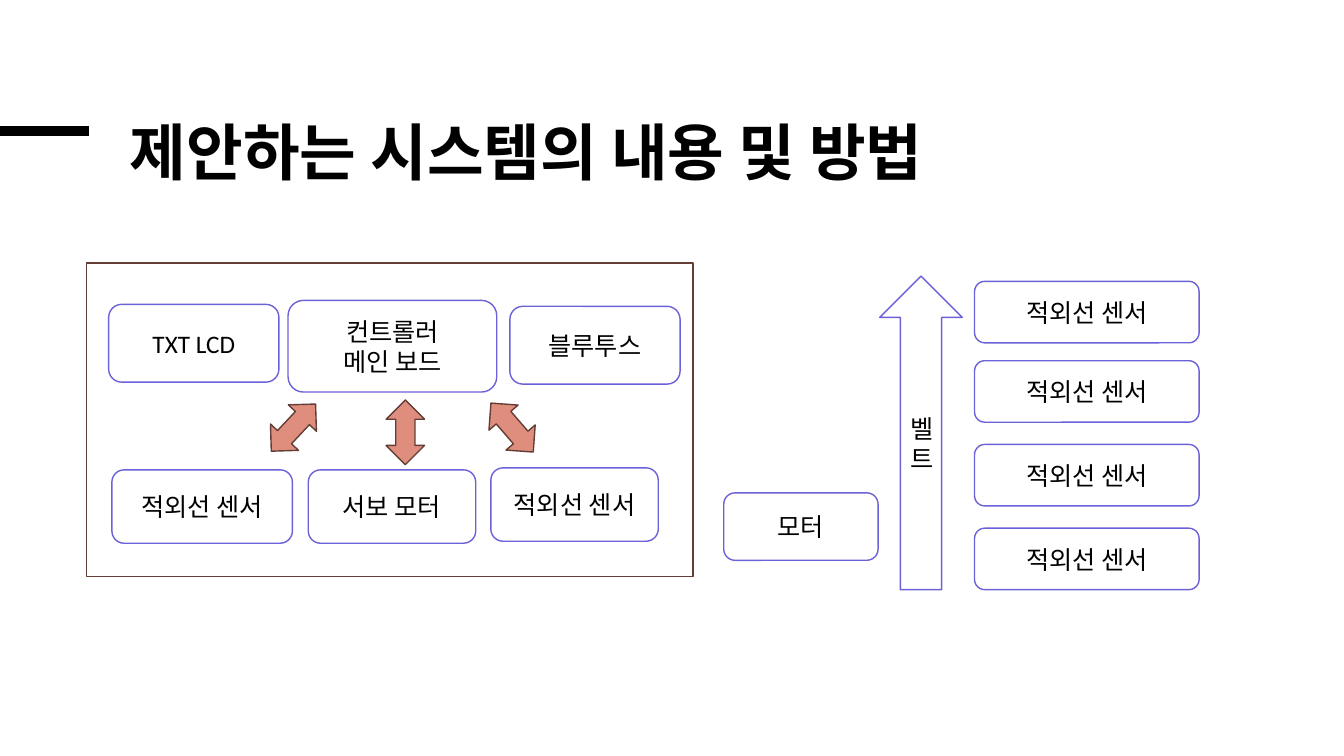
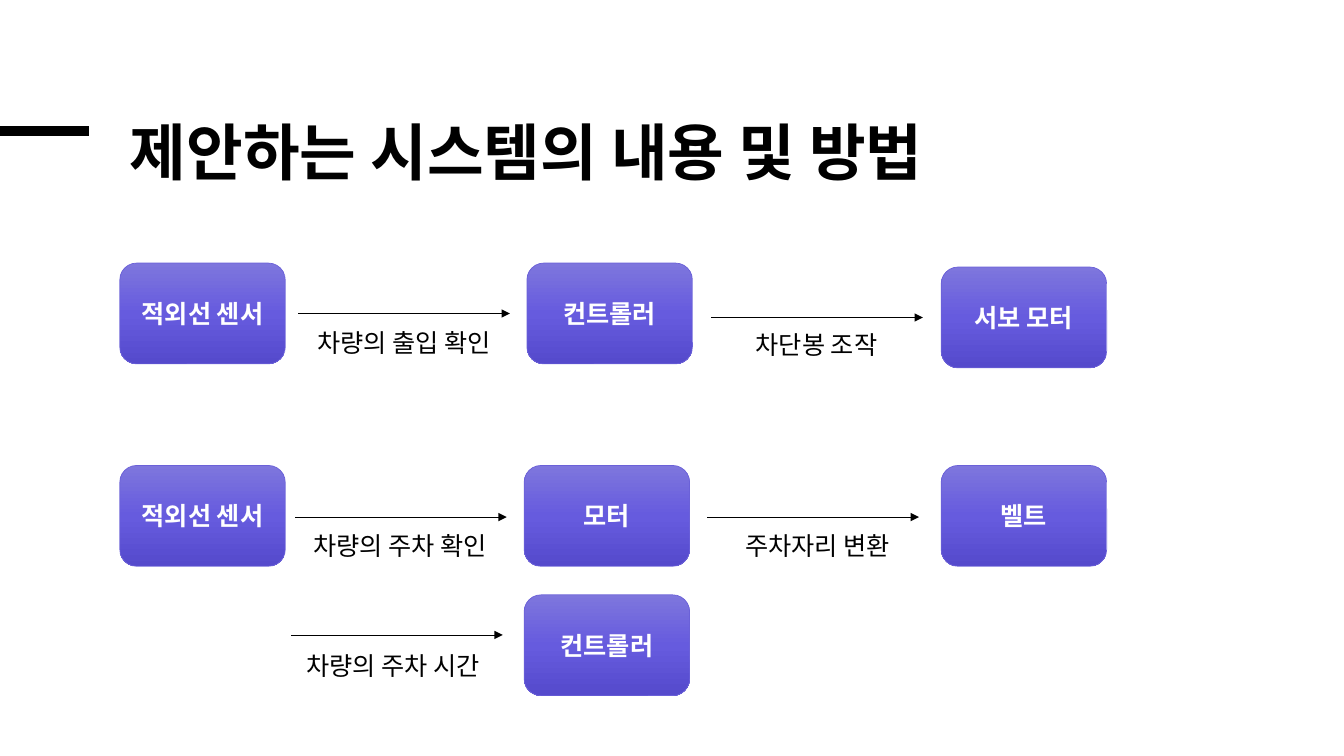
"""Build two slides on the layout and signal flow of a parking system."""
import copy

import pptx
import pptx.dml.color
import pptx.enum.shapes
import pptx.enum.text
import pptx.oxml
import pptx.oxml.ns
import pptx.util

Cm = pptx.util.Cm
Pt = pptx.util.Pt
Shape = pptx.enum.shapes.MSO_SHAPE
Anchor = pptx.enum.text.MSO_ANCHOR
Align = pptx.enum.text.PP_ALIGN
AutoSize = pptx.enum.text.MSO_AUTO_SIZE
qn = pptx.oxml.ns.qn

FONT = "Calibri"
TITLE = "제안하는 시스템의 내용 및 방법"
SENSOR = "적외선 센서"
COLORS = {
    "black": "000000",
    "white": "FFFFFF",
    "violet": "6B61D8",
    "violet_top": "7E76DD",
    "violet_middle": "665BDE",
    "violet_bottom": "554ACC",
    "brown": "623E37",
    "salmon": "DF8E7E",
}


def color(name):
    return pptx.dml.color.RGBColor.from_string(COLORS[name])


def write_text(frame, text, size=18, ink="black", bold=False,
               align=Align.CENTER, anchor=Anchor.MIDDLE, spacing=None):
    frame.word_wrap = True
    frame.vertical_anchor = anchor
    for index, line in enumerate(text.split("\n")):
        para = frame.add_paragraph() if index else frame.paragraphs[0]
        para.alignment = align
        para.line_spacing = spacing
        span = para.add_run()
        span.text = line
        span.font.name = FONT
        span.font.size = Pt(size)
        span.font.bold = bold
        span.font.color.rgb = color(ink)


class DiagramDeck:
    def __init__(self):
        self.deck = pptx.Presentation()
        self.deck.slide_width = Cm(33.87)
        self.deck.slide_height = Cm(19.05)
        self.page = None

    def add_page(self, text):
        self.page = self.deck.slides.add_slide(self.deck.slide_layouts[5])
        self.line(0, 3.3, 2.24, weight=6.75)
        title = self.page.shapes.title
        title.left, title.top = Cm(3.02), Cm(3.02)
        title.width, title.height = Cm(27.56), Cm(3.61)
        title.text_frame.auto_size = AutoSize.NONE
        write_text(title.text_frame, text, size=44, bold=True,
                   align=Align.LEFT, anchor=Anchor.TOP, spacing=0.85)

    def shape(self, kind, left, top, width, height, fill=None,
              outline="violet", weight=1):
        box = self.page.shapes.add_shape(
            kind, Cm(left), Cm(top), Cm(width), Cm(height))
        box.shadow.inherit = False
        if fill:
            box.fill.solid()
            box.fill.fore_color.rgb = color(fill)
        else:
            box.fill.background()
        box.line.color.rgb = color(outline)
        box.line.width = Pt(weight)
        return box

    def component(self, text, left, top, width, height,
                  kind=Shape.FLOWCHART_ALTERNATE_PROCESS):
        box = self.shape(kind, left, top, width, height, fill="white")
        write_text(box.text_frame, text)

    def double_arrow(self, left, top, angle):
        arrow = self.shape(Shape.LEFT_RIGHT_ARROW, left, top, 1.63, 0.97,
                           fill="salmon", outline="brown")
        arrow.rotation = angle

    def step(self, text, left, top):
        box = self.shape(Shape.ROUNDED_RECTANGLE, left, top, 4.17, 2.54,
                         weight=0.5)
        box.fill.gradient()
        box.fill.gradient_angle = 270
        stop_list = box.element.spPr.find(".//" + qn("a:gsLst"))
        stop_list.append(copy.deepcopy(stop_list[0]))
        names = ("violet_top", "violet_middle", "violet_bottom")
        for index, (stop, name) in enumerate(zip(box.fill.gradient_stops, names)):
            stop.position = index / 2
            stop.color.rgb = color(name)
        write_text(box.text_frame, text, ink="white", bold=True)

    def line(self, left, top, length, weight=0.5, arrow=False):
        connector = self.page.shapes.add_connector(
            pptx.enum.shapes.MSO_CONNECTOR.STRAIGHT,
            Cm(left), Cm(top), Cm(left + length), Cm(top))
        connector.line.color.rgb = color("black")
        connector.line.width = Pt(weight)
        properties = connector.element.spPr
        if arrow:
            tail = pptx.oxml.parse_xml(
                '<a:tailEnd %s type="triangle"/>' % pptx.oxml.ns.nsdecls("a"))
            properties.find(qn("a:ln")).append(tail)
        effects = pptx.oxml.parse_xml(
            "<a:effectLst %s/>" % pptx.oxml.ns.nsdecls("a"))
        properties.append(effects)

    def label(self, text, left, top):
        box = self.page.shapes.add_textbox(Cm(left), Cm(top), Cm(5.49), Cm(1.02))
        write_text(box.text_frame, text, anchor=Anchor.TOP)
        box.text_frame.auto_size = AutoSize.SHAPE_TO_FIT_TEXT

    def save(self):
        self.deck.save("out.pptx")


def add_layout_page(deck):
    deck.add_page(TITLE)
    deck.shape(Shape.RECTANGLE, 2.18, 6.63, 15.29, 7.9, outline="brown")
    for text, left, top, width, height in (
        ("TXT LCD", 2.74, 7.67, 4.29, 1.96),
        ("컨트롤러\n메인 보드", 7.26, 7.57, 5.26, 2.31),
        ("블루투스", 12.85, 7.72, 4.29, 1.96),
        (SENSOR, 2.82, 11.84, 4.55, 1.85),
        ("서보 모터", 7.77, 11.84, 4.22, 1.85),
        (SENSOR, 12.37, 11.79, 4.22, 1.85),
        ("모터", 18.24, 12.42, 3.89, 1.7),
    ):
        deck.component(text, left, top, width, height)
    for left, top, angle in ((6.58, 10.29, 133.2), (9.4, 10.41, 90),
                             (12.09, 10.29, 49.2)):
        deck.double_arrow(left, top, angle)
    deck.component("벨\n트", 22.17, 6.96, 2.08, 7.9, kind=Shape.UP_ARROW)
    for top in (7.09, 9.09, 11.2, 13.31):
        deck.component(SENSOR, 24.56, top, 5.66, 1.55)


def add_flow_page(deck):
    deck.add_page(TITLE)
    for text, left, top in (
        (SENSOR, 3.02, 6.63),
        ("컨트롤러", 13.28, 6.63),
        ("서보 모터", 23.72, 6.73),
        (SENSOR, 3.02, 11.73),
        ("모터", 13.21, 11.73),
        ("벨트", 23.72, 11.73),
        ("컨트롤러", 13.21, 14.99),
    ):
        deck.step(text, left, top)
    for left, top in ((7.52, 7.9), (17.93, 8), (7.44, 13.03),
                      (17.83, 13.03), (7.34, 16)):
        deck.line(left, top, 5.33, arrow=True)
    for text, left, top in (
        ("차량의 출입 확인", 7.44, 8.13),
        ("차단봉 조작", 17.83, 8.18),
        ("차량의 주차 확인", 7.34, 13.23),
        ("주차자리 변환", 17.86, 13.23),
        ("차량의 주차 시간", 7.16, 16.26),
    ):
        deck.label(text, left, top)


def main():
    deck = DiagramDeck()
    add_layout_page(deck)
    add_flow_page(deck)
    deck.save()


if __name__ == "__main__":
    main()
